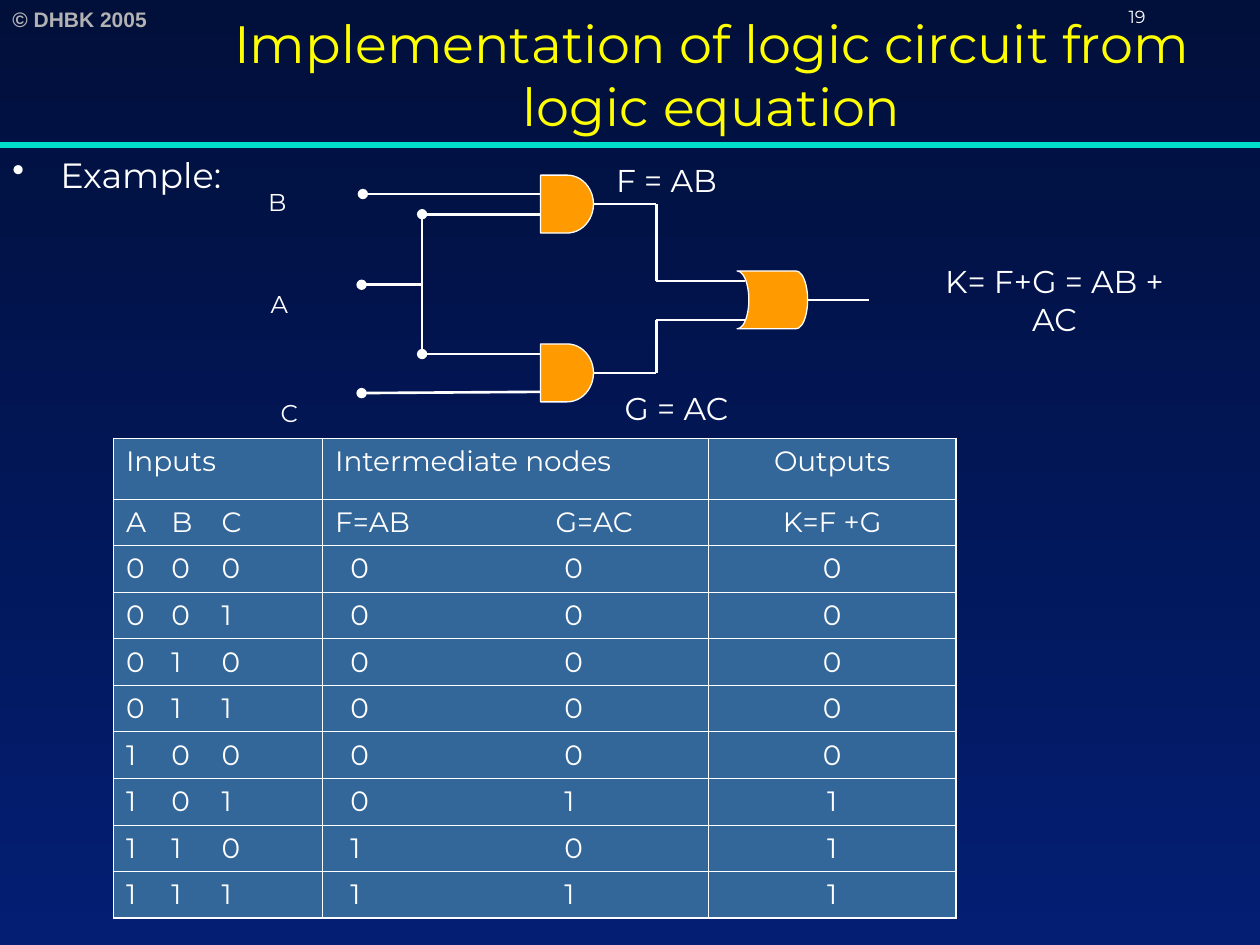
from itertools import product

from lxml import etree
from pptx import Presentation
from pptx.dml.color import RGBColor
from pptx.enum import shapes as sh, text as tx
from pptx.oxml.ns import qn
from pptx.util import Inches, Pt

WHITE = RGBColor(0xFF, 0xFF, 0xFF)
YELLOW = RGBColor(0xFF, 0xFF, 0x00)
GREY = RGBColor(0xB2, 0xB2, 0xB2)
TEAL = RGBColor(0x00, 0xDF, 0xCA)
ORANGE = RGBColor(0xFF, 0x9B, 0x00)
STEEL = RGBColor(0x33, 0x66, 0x99)
NIGHT = RGBColor(0x01, 0x0F, 0x3B)
NAVY = RGBColor(0x03, 0x1E, 0x73)
LEFT, MID = tx.PP_ALIGN.LEFT, tx.PP_ALIGN.CENTER

prs = Presentation()
prs.slide_width, prs.slide_height = Inches(10), Inches(7.5)
slide = prs.slides.add_slide(prs.slide_layouts[6])

back = slide.background.fill
back.gradient()
back.gradient_angle = 270
for stop, color, pos in zip(back.gradient_stops, (NIGHT, NAVY), (0, 1)):
    stop.color.rgb = color
    stop.position = pos


def add_text(words, x, y, w, h, size, color=WHITE, align=LEFT, face="Montserrat"):
    """Add a one-paragraph box; centred text is also centred vertically."""
    frame = slide.shapes.add_textbox(Inches(x), Inches(y), Inches(w), Inches(h)).text_frame
    frame.word_wrap = True
    if align == MID:
        frame.vertical_anchor = tx.MSO_ANCHOR.MIDDLE
    para = frame.paragraphs[0]
    para.text = words
    para.alignment = align
    para.font.size, para.font.name = Pt(size), face
    para.font.color.rgb = color
    return para


def add_line(x1, y1, x2, y2, width=1.5, color=WHITE, dot=False):
    """Add a straight line, with a round dot at its start if asked."""
    line = slide.shapes.add_connector(
        sh.MSO_CONNECTOR.STRAIGHT, Inches(x1), Inches(y1), Inches(x2), Inches(y2))
    line.line.width = Pt(width)
    line.line.color.rgb = color
    props = line._element.spPr
    if dot:
        etree.SubElement(props.find(qn("a:ln")), qn("a:headEnd"), type="oval")
    etree.SubElement(props, qn("a:effectLst"))


# Heading
mark = add_text("© DHBK 2005", 0, 0, 1.45, 0.3, 12, GREY, face="Arial")
mark.font.bold = True
add_line(0, 1.15, 10, 1.15, 3, TEAL)
add_text("Implementation of logic circuit from logic equation",
         1.3, 0, 8.7, 1.17, 30, YELLOW, MID)
add_text("19", 8.86, 0, 1.14, 0.25, 10)

item = add_text("Example:", 0, 1.17, 4.92, 0.5, 20)
props = item._p.get_or_add_pPr()
props.set("marL", str(Inches(0.38)))
props.set("indent", str(-Inches(0.38)))
bullet = etree.Element(qn("a:buChar"), char="•")
props.insert(0, bullet)

# Gates
delay, store = sh.MSO_SHAPE.FLOWCHART_DELAY, sh.MSO_SHAPE.FLOWCHART_STORED_DATA
for kind, x, y, w, turn in ((delay, 4.29, 1.39, 0.42, 0),
                            (delay, 4.29, 2.73, 0.42, 0),
                            (store, 5.85, 2.15, 0.56, 180)):
    gate = slide.shapes.add_shape(kind, Inches(x), Inches(y), Inches(w), Inches(0.46))
    gate.rotation = turn
    gate.shadow.inherit = False
    gate.fill.solid()
    gate.fill.fore_color.rgb = ORANGE
    gate.line.color.rgb = WHITE
    gate.line.width = Pt(0)

# Input wires start with a dot
for x1, y1, x2, y2 in ((2.88, 1.54, 4.29, 1.54), (3.35, 1.7, 4.29, 1.7),
                       (3.35, 2.81, 4.29, 2.81), (2.87, 3.12, 4.29, 3.11),
                       (2.87, 2.26, 3.35, 2.26)):
    add_line(x1, y1, x2, y2, dot=True)
add_line(3.35, 1.7, 3.35, 2.81, 0.75)

# Each AND output steps over to the OR gate
for start, end in ((1.62, 2.23), (2.96, 2.54)):
    add_line(4.71, start, 5.21, start)
    add_line(5.21, start, 5.21, end)
    add_line(5.21, end, 5.91, end)
add_line(6.41, 2.38, 6.9, 2.38)

# Labels
for name, x, y in (("B", 2.03, 1.21), ("A", 2.05, 2.02), ("C", 2.13, 2.89)):
    label = add_text(name, x, y, 1.07, 0.56, 24)
    label.runs[0].font._element.set("baseline", "-25000")
add_text("F = AB", 4.19, 1.21, 2.2, 0.44, 18, align=MID)
add_text("G = AC", 4.27, 3.02, 2.2, 0.44, 18, align=MID)
add_text("K= F+G = AB + AC", 7.27, 2.18, 2.2, 0.4, 18, align=MID)

# Truth table
rows = [("Inputs", "Intermediate nodes", "Outputs"),
        ("A\tB\tC", "F=AB\tG=AC", "K=F +G")]
for a, b, c in product((0, 1), repeat=3):
    f, g = a & b, a & c
    rows.append((f"{a}\t{b}\t{c}", f"\t{f}\t{g}", f"{f | g}"))

table = slide.shapes.add_table(len(rows), 3, Inches(0.9), Inches(3.48),
                               Inches(6.69), Inches(3.81)).table
for col, width in zip(table.columns, (1.66, 3.06, 1.97)):
    col.width = Inches(width)
last = len(rows) - 1
for r, row in enumerate(rows):
    table.rows[r].height = Inches(0.37 if r else 0.48)
    stops = ((0.36, 0.76), (1.75,) if r < 2 else (0.12, 1.82), ())
    for c, words in enumerate(row):
        cell = table.cell(r, c)
        edges = {"lnL": c == 0, "lnR": c == 2, "lnT": r == 0, "lnB": r == last}
        for tag, outer in edges.items():
            edge = etree.SubElement(cell._tc.get_or_add_tcPr(), qn(f"a:{tag}"),
                                    w=str(Pt(1.08 if outer else 0.45)))
            fill = etree.SubElement(edge, qn("a:solidFill"))
            etree.SubElement(fill, qn("a:srgbClr"), val=str(WHITE))
        cell.fill.solid()
        cell.fill.fore_color.rgb = STEEL
        para = cell.text_frame.paragraphs[0]
        para.text = words
        para.alignment = MID if c == 2 else LEFT
        if "\t" in words:
            tabs = etree.SubElement(para._p.get_or_add_pPr(), qn("a:tabLst"))
            for stop in stops[c]:
                etree.SubElement(tabs, qn("a:tab"), pos=str(Inches(stop)), algn="l")
        para.font.size, para.font.name = Pt(16), "Montserrat"
        para.font.bold = False
        para.font.color.rgb = WHITE

prs.save("out.pptx")
